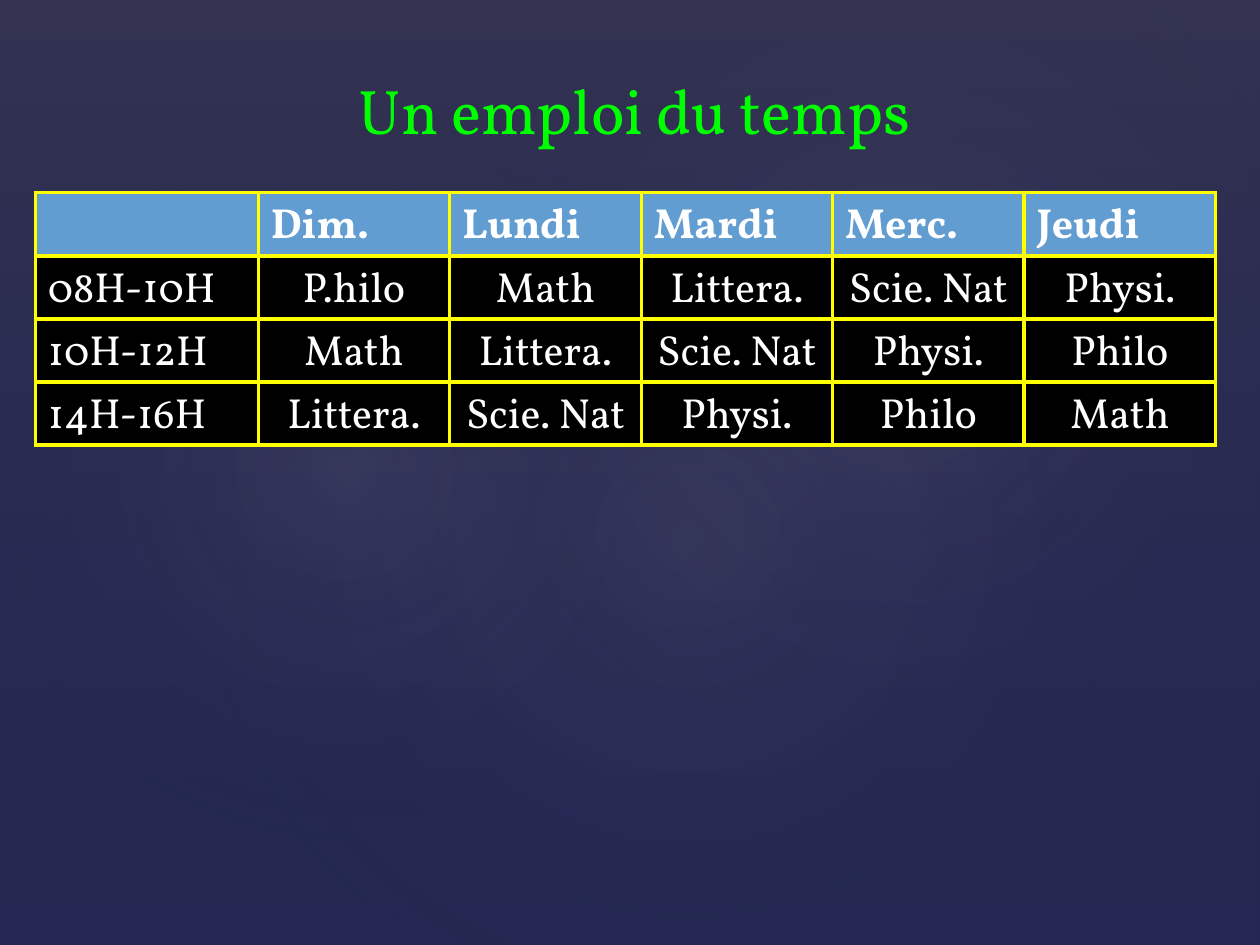
from dataclasses import dataclass

from lxml.etree import SubElement
from pptx import Presentation
from pptx.dml.color import RGBColor
from pptx.enum.shapes import MSO_SHAPE
from pptx.enum.text import MSO_ANCHOR, MSO_AUTO_SIZE, PP_ALIGN
from pptx.oxml import parse_xml
from pptx.oxml.ns import nsdecls, qn
from pptx.util import Inches, Pt


@dataclass(frozen=True)
class Theme:
    font: str = "Vollkorn"
    title_size: int = 36
    table_size: int = 24
    border_width: float = 2.25
    background: str = "242852"
    veil: str = "504652"
    glow: str = "C4BCC6"
    title: str = "00FF00"
    header: str = "629DD1"
    body: str = "000000"
    text: str = "FFFFFF"
    border: str = "FFFF00"


THEME = Theme()

HEADER = ["", "Dim.", "Lundi", "Mardi", "Merc.", "Jeudi"]
LESSONS = [
    ["08H-10H", "P.hilo", "Math", "Littera.", "Scie. Nat", "Physi."],
    ["10H-12H", "Math", "Littera.", "Scie. Nat", "Physi.", "Philo"],
    ["14H-16H", "Littera.", "Scie. Nat", "Physi.", "Philo", "Math"],
]

# Left, top, width, height, rotation, opacity in percent
GLOWS = [
    (1.5, 1.14, 7.92, 6.24, 328.7, 7),
    (-0.3, 1.28, 6.06, 4.9, 294.3, 8),
    (3.58, 0.13, 7.09, 5.2, 328.7, 8),
]
LINEAR = '<a:lin ang="5400000" scaled="0"/>'
RADIAL = ('<a:path path="circle"><a:fillToRect l="50000" t="50000" '
          'r="50000" b="50000"/></a:path>')


def style_font(font, size, color, bold=False):
    font.name = THEME.font
    font.size = Pt(size)
    font.bold = bold
    font.color.rgb = RGBColor.from_string(color)


def add_gradient_shape(s, kind, box, stops, direction, rotation=0):
    """Stops are (position, colour, opacity), numbers in percent."""
    sp = s.shapes.add_shape(kind, *map(Inches, box))
    sp.rotation = rotation
    sp.shadow.inherit = False
    sp.line.fill.background()
    stop_xml = "".join(
        f'<a:gs pos="{pos * 1000}"><a:srgbClr val="{color}">'
        f'<a:alpha val="{alpha * 1000}"/></a:srgbClr></a:gs>'
        for pos, color, alpha in stops)
    sp._element.spPr.find(qn("a:prstGeom")).addnext(parse_xml(
        f'<a:gradFill {nsdecls("a")} rotWithShape="1">'
        f'<a:gsLst>{stop_xml}</a:gsLst>{direction}</a:gradFill>'))


def add_background(s):
    s.background.fill.solid()
    s.background.fill.fore_color.rgb = RGBColor.from_string(THEME.background)
    add_gradient_shape(s, MSO_SHAPE.RECTANGLE, (0, 0, 10, 7.5),
                       [(0, THEME.veil, 36), (100, THEME.background, 10)],
                       LINEAR)
    for *box, rotation, alpha in GLOWS:
        add_gradient_shape(s, MSO_SHAPE.OVAL, box,
                           [(0, THEME.glow, alpha), (58, THEME.background, 0)],
                           RADIAL, rotation)


def set_title(s, text):
    sp = s.shapes.title
    sp.left, sp.top, sp.width, sp.height = map(Inches, (0.16, 0.52, 9.75, 0.71))
    tf = sp.text_frame
    tf.text = text
    tf.word_wrap = True
    tf.auto_size = MSO_AUTO_SIZE.SHAPE_TO_FIT_TEXT
    tf.vertical_anchor = MSO_ANCHOR.TOP
    p = tf.paragraphs[0]
    p.alignment = PP_ALIGN.CENTER
    style_font(p.font, THEME.title_size, THEME.title)
    # Bring the title in front of the background shapes
    s.shapes._spTree.append(sp._element)


def set_borders(cell):
    tcPr = cell._tc.get_or_add_tcPr()
    for i, side in enumerate(("lnL", "lnR", "lnT", "lnB")):
        ln = SubElement(tcPr, qn(f"a:{side}"), w=str(Pt(THEME.border_width)))
        fill = SubElement(ln, qn("a:solidFill"))
        SubElement(fill, qn("a:srgbClr"), val=THEME.border)
        # Borders come before the cell fill
        tcPr.insert(i, ln)


def fill_cell(cell, text, is_header, centred):
    cell.fill.solid()
    cell.fill.fore_color.rgb = RGBColor.from_string(
        THEME.header if is_header else THEME.body)
    set_borders(cell)
    cell.text = text
    p = cell.text_frame.paragraphs[0]
    p.alignment = PP_ALIGN.CENTER if centred else PP_ALIGN.LEFT
    style_font(p.font, THEME.table_size, THEME.text, bold=is_header)


def add_timetable(s):
    rows = [HEADER] + LESSONS
    table = s.shapes.add_table(len(rows), len(HEADER), Inches(0.28),
                               Inches(1.53), Inches(9.37), Inches(2)).table
    for i, column in enumerate(table.columns):
        column.width = Inches(1.52 if i else 1.77)
    for r, row in enumerate(rows):
        table.rows[r].height = Inches(0.5)
        for c, text in enumerate(row):
            fill_cell(table.cell(r, c), text, is_header=r == 0,
                      centred=r > 0 and c > 0)


def main():
    prs = Presentation()
    prs.slide_width, prs.slide_height = Inches(10), Inches(7.5)
    s = prs.slides.add_slide(prs.slide_layouts[5])
    add_background(s)
    set_title(s, "Un emploi du temps")
    add_timetable(s)
    prs.save("out.pptx")


main()
